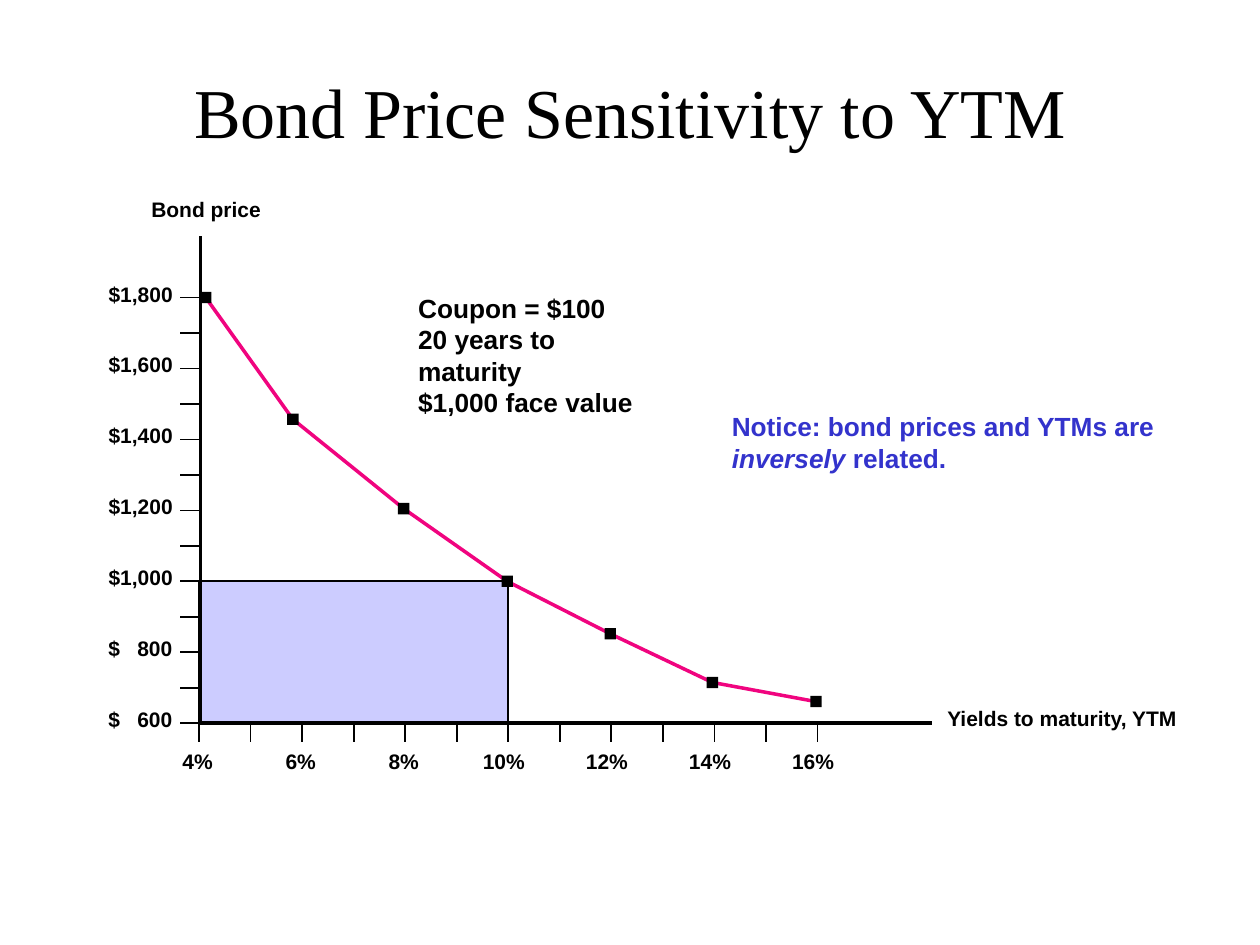
from dataclasses import dataclass
from itertools import pairwise

from lxml import etree
from pptx import Presentation
from pptx.dml.color import RGBColor
from pptx.enum.shapes import MSO_CONNECTOR, MSO_SHAPE
from pptx.enum.text import MSO_ANCHOR, PP_ALIGN
from pptx.oxml.ns import qn
from pptx.util import Inches, Pt

STRAIGHT = MSO_CONNECTOR.STRAIGHT
RECTANGLE = MSO_SHAPE.RECTANGLE
MIDDLE, TOP = MSO_ANCHOR.MIDDLE, MSO_ANCHOR.TOP
LEFT, CENTER, RIGHT = PP_ALIGN.LEFT, PP_ALIGN.CENTER, PP_ALIGN.RIGHT


@dataclass(frozen=True)
class Theme:
    ink: str = "000000"
    curve: str = "F0047F"
    area: str = "CCCCFF"
    notice: str = "3333CC"
    heading_font: str = "Times New Roman"
    body_font: str = "Arial"
    heading: int = 40
    note: int = 15
    label: int = 12
    thick: float = 2
    thin: float = 1


@dataclass(frozen=True)
class Grid:
    left: float = 1.58
    base: float = 5.74
    column: float = 0.41
    row: float = 0.28
    first_yield: int = 4
    last_yield: int = 16
    first_price: int = 600
    last_price: int = 1800

    def x(self, rate: float) -> float:
        return self.left + (rate - self.first_yield) * self.column

    def y(self, price: float) -> float:
        return self.base - (price - self.first_price) / 100 * self.row


@dataclass(frozen=True)
class Box:
    left: float
    top: float
    width: float
    height: float = 0.3


@dataclass(frozen=True)
class Span:
    text: str
    italic: bool = False


@dataclass(frozen=True)
class Style:
    size: int
    font: str
    color: str
    bold: bool = True
    align: int = LEFT
    anchor: int = TOP


@dataclass(frozen=True)
class Quote:
    rate: float
    price: float


THEME = Theme()
GRID = Grid(column=0.409, row=0.2815)
MARKER = 0.09
TICK = 0.15
QUOTES = (Quote(4.13, 1800), Quote(5.82, 1457), Quote(7.97, 1205), Quote(9.98, 1000),
          Quote(11.98, 852), Quote(13.96, 715), Quote(15.97, 661))
PAR = Quote(10, 1000)

HEADING = Style(THEME.heading, THEME.heading_font, THEME.ink, False, CENTER, MIDDLE)
LABEL = Style(THEME.label, THEME.body_font, THEME.ink)
PRICE_LABEL = Style(THEME.label, THEME.body_font, THEME.ink, align=RIGHT)
NOTE = Style(THEME.note, THEME.body_font, THEME.ink)
NOTICE = Style(THEME.note, THEME.body_font, THEME.notice)


def draw_line(slide, start: tuple, end: tuple, color: str, weight: float) -> None:
    """Draw a straight line without a shadow."""
    line = slide.shapes.add_connector(STRAIGHT, *map(Inches, (*start, *end)))
    line.line.color.rgb = RGBColor.from_string(color)
    line.line.width = Pt(weight)
    etree.SubElement(line._element.spPr, qn("a:effectLst"))


def draw_rectangle(slide, box: Box, fill: str, outline: float = 0) -> None:
    """Draw a filled rectangle, outlined when a weight is given."""
    area = (box.left, box.top, box.width, box.height)
    rectangle = slide.shapes.add_shape(RECTANGLE, *map(Inches, area))
    rectangle.shadow.inherit = False
    rectangle.fill.solid()
    rectangle.fill.fore_color.rgb = RGBColor.from_string(fill)
    if outline:
        rectangle.line.color.rgb = RGBColor.from_string(THEME.ink)
        rectangle.line.width = Pt(outline)
    else:
        rectangle.line.fill.background()


def write(slide, box: Box, lines: tuple, style: Style):
    """Write lines of spans in a text box and return its text frame."""
    area = (box.left, box.top, box.width, box.height)
    frame = slide.shapes.add_textbox(*map(Inches, area)).text_frame
    frame_format = {"word_wrap": True, "vertical_anchor": style.anchor}
    for name, value in frame_format.items():
        setattr(frame, name, value)
    paragraph = frame.paragraphs[0]
    paragraph.alignment = style.align
    for number, spans in enumerate(lines):
        if number:
            paragraph.add_line_break()
        for span in spans:
            run = paragraph.add_run()
            run.text = span.text
            run_format = {"name": style.font, "size": Pt(style.size),
                          "bold": style.bold, "italic": span.italic}
            for name, value in run_format.items():
                setattr(run.font, name, value)
            run.font.color.rgb = RGBColor.from_string(style.color)
    return frame


def write_price(slide, price: int) -> None:
    """Label a price, setting the dollar sign apart from three-digit amounts."""
    box = Box(0.37, GRID.y(price) - 0.18, 1.1)
    if price >= 1000:
        write(slide, box, ((Span(f"${price:,}"),),), PRICE_LABEL)
        return
    frame = write(slide, box, ((Span(f"$\t{price}"),),), LABEL)
    frame.margin_left, frame.margin_right = Inches(0.49), 0
    properties = frame.paragraphs[0]._p.get_or_add_pPr()
    stops = etree.SubElement(properties, qn("a:tabLst"))
    etree.SubElement(stops, qn("a:tab"), pos=str(Inches(0.23)), algn="l")


def draw_axes(slide) -> None:
    """Draw both axes with their ticks and labels."""
    origin = (GRID.left, GRID.base)
    draw_line(slide, origin, (7.4, GRID.base), THEME.ink, THEME.thick)
    draw_line(slide, (1.59, GRID.base), (1.59, 1.87), THEME.ink, THEME.thick)
    for rate in range(GRID.first_yield, GRID.last_yield + 1):
        x = GRID.x(rate)
        draw_line(slide, (x, GRID.base), (x, GRID.base + TICK), THEME.ink, THEME.thin)
    for price in range(GRID.first_price, GRID.last_price + 1, 100):
        y = GRID.y(price)
        draw_line(slide, (GRID.left, y), (GRID.left - TICK, y), THEME.ink, THEME.thin)
    for rate in range(GRID.first_yield, GRID.last_yield + 1, 2):
        caption = f"{rate}%"
        left = GRID.x(rate) - 0.09 - 0.07 * len(caption)
        write(slide, Box(left, GRID.base + TICK, 0.6), ((Span(caption),),), LABEL)
    for price in range(GRID.last_price, GRID.first_price - 1, -200):
        write_price(slide, price)
    write(slide, Box(0.91, 1.51, 1.26), ((Span("Bond price"),),), PRICE_LABEL)
    write(slide, Box(7.42, 5.55, 2.14), ((Span("Yields to maturity, YTM"),),), LABEL)


def main() -> None:
    """Build the bond price slide."""
    deck = Presentation()
    deck.slide_width, deck.slide_height = Inches(10), Inches(7.5)
    slide = deck.slides.add_slide(deck.slide_layouts[6])
    points = [(GRID.x(quote.rate), GRID.y(quote.price)) for quote in QUOTES]
    for start, end in pairwise(points):
        draw_line(slide, start, end, THEME.curve, THEME.thick)
    par_x, par_y = GRID.x(PAR.rate), GRID.y(PAR.price)
    par_area = Box(GRID.left, par_y, par_x - GRID.left, GRID.base - par_y)
    draw_rectangle(slide, par_area, THEME.area, THEME.thin)
    write(slide, Box(0.75, 0.25, 8.5, 1.25),
          ((Span("Bond Price Sensitivity to YTM"),),), HEADING)
    draw_axes(slide)
    for x, y in points:
        marker = Box(x - MARKER / 2, y - MARKER / 2, MARKER, MARKER)
        draw_rectangle(slide, marker, THEME.ink)
    terms = ("Coupon = $100", "20 years to maturity", "$1,000 face value")
    write(slide, Box(3.22, 2.27, 2.14, 1.1), tuple((Span(term),) for term in terms), NOTE)
    notice = (Span("Notice: bond prices and YTMs are "), Span("inversely", True),
              Span(" related."))
    write(slide, Box(5.71, 3.21, 3.7, 0.6), (notice,), NOTICE)
    deck.save("out.pptx")


if __name__ == "__main__":
    main()
